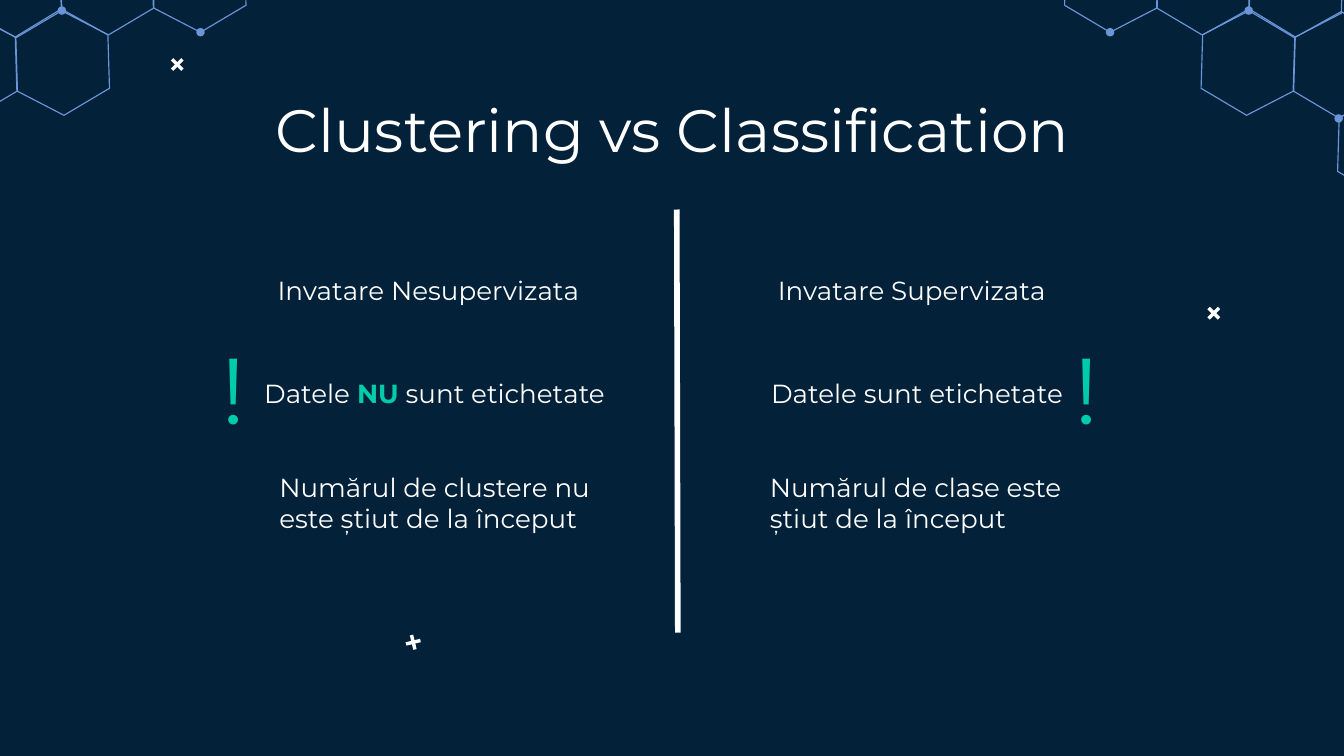
from math import cos, radians, sin

from lxml.etree import SubElement
from pptx import Presentation
from pptx.dml.color import RGBColor
from pptx.enum.shapes import MSO_CONNECTOR, MSO_SHAPE
from pptx.enum.text import MSO_ANCHOR, PP_ALIGN
from pptx.oxml.ns import qn
from pptx.util import Cm, Pt

NAVY, BLUE, WHITE, GREEN = "032138", "6995D9", "FFFFFF", "00CCAC"
LEFT, CENTER = PP_ALIGN.LEFT, PP_ALIGN.CENTER

TEXTS = [
    (2.01, 1.5, 21.41, 1.6, 32, CENTER, [("Clustering vs Classification", WHITE)]),
    (4.9, 4.93, 6.4, 1.19, 14, CENTER, [("Invatare Nesupervizata", WHITE)]),
    (14.45, 4.93, 6.4, 1.19, 14, LEFT, [("Invatare Supervizata", WHITE)]),
    (4.72, 6.88, 6.99, 1.19, 14, CENTER,
     [("Datele ", WHITE), ("NU", GREEN), (" sunt etichetate", WHITE)]),
    (14.3, 6.88, 6.07, 1.19, 14, CENTER, [("Datele sunt etichetate", WHITE)]),
    (3.33, 6.02, 2.16, 2.57, 50, CENTER, [("!", GREEN)]),
    (19.46, 6.02, 2.16, 2.57, 50, CENTER, [("!", GREEN)]),
    (5.03, 8.66, 6.4, 1.19, 14, LEFT,
     [("Numărul de clustere nu este știut de la început", WHITE)]),
    (14.3, 8.66, 6.68, 1.19, 14, LEFT,
     [("Numărul de clase este știut de la început", WHITE)]),
]
CROSSES = [(22.94, 5.92, 45), (7.81, 12.14, 76.5), (3.35, 1.22, 45)]
CROSS_ARM = 0.14

HEXAGON = [(0, 0), (0.03, -1.01), (0.91, -1.5), (1.78, -0.97), (1.75, 0.05), (0.86, 0.51)]
CELLS = [(0, 0), (-1, 0), (-2, 0), (0, 1), (-1, 1), (0, 2)]
DOTS = [(23.6, 0.2), (20.98, 0.61), (25.3, 2.24)]
ORIGIN, COLUMN_STEP, ROW_STEP = (23.6, 0.2), (1.74, 0.05), (0.84, 1.52)
DOT_SIZE, MIRROR_SUM = 0.16, 24.77


def rgb(color):
    return RGBColor.from_string(color)


def add_line(s, x1, y1, x2, y2, width):
    line = s.shapes.add_connector(MSO_CONNECTOR.STRAIGHT, Cm(x1), Cm(y1), Cm(x2), Cm(y2))
    line.line.color.rgb = rgb(WHITE)
    line.line.width = Pt(width)
    SubElement(line._element.spPr, qn("a:effectLst"))


def add_hexagon(s, points):
    first, *rest = [(Cm(x), Cm(y)) for x, y in points]
    builder = s.shapes.build_freeform(*first)
    builder.add_line_segments(rest)
    sp = builder.convert_to_shape()
    sp.shadow.inherit = False
    sp.fill.background()
    sp.line.color.rgb = rgb(BLUE)
    sp.line.width = Pt(0.61)


def add_dot(s, x, y):
    corner = Cm(x - DOT_SIZE / 2), Cm(y - DOT_SIZE / 2)
    sp = s.shapes.add_shape(MSO_SHAPE.OVAL, *corner, Cm(DOT_SIZE), Cm(DOT_SIZE))
    sp.shadow.inherit = False
    sp.fill.solid()
    sp.fill.fore_color.rgb = rgb(BLUE)
    sp.line.fill.background()


def add_honeycomb(s, mirrored):
    def place(x, y):
        return (MIRROR_SUM - x if mirrored else x), y

    for column, row in CELLS:
        x0, y0 = (o + column * c + row * r
                  for o, c, r in zip(ORIGIN, COLUMN_STEP, ROW_STEP))
        points = [place(x0 + dx, y0 + dy) for dx, dy in HEXAGON]
        if max(x for x, y in points) > 0:
            add_hexagon(s, points)
    for dot in DOTS:
        x, y = place(*dot)
        if x > 0:
            add_dot(s, x, y)


def add_text(s, x, y, w, h, size, align, runs):
    tf = s.shapes.add_textbox(Cm(x), Cm(y), Cm(w), Cm(h)).text_frame
    tf.word_wrap = True
    tf.vertical_anchor = MSO_ANCHOR.TOP
    tf.margin_left = tf.margin_right = tf.margin_top = tf.margin_bottom = Cm(0.25)
    p = tf.paragraphs[0]
    p.alignment = align
    p.font.name = "Montserrat"
    p.font.size = Pt(size)
    for text, color in runs:
        r = p.add_run()
        r.text = text
        r.font.color.rgb = rgb(color)
        r.font.bold = text == "NU"


def main():
    prs = Presentation()
    prs.slide_width, prs.slide_height = Cm(25.4), Cm(14.29)
    s = prs.slides.add_slide(prs.slide_layouts[6])
    s.background.fill.solid()
    s.background.fill.fore_color.rgb = rgb(NAVY)

    for mirrored in (False, True):
        add_honeycomb(s, mirrored)
    for x, y, angle in CROSSES:
        for turn in (angle, angle + 90):
            dx, dy = CROSS_ARM * cos(radians(turn)), CROSS_ARM * sin(radians(turn))
            add_line(s, x - dx, y - dy, x + dx, y + dy, 1.84)
    add_line(s, 12.79, 3.96, 12.81, 11.96, 3)
    for text in TEXTS:
        add_text(s, *text)
    prs.save("out.pptx")


if __name__ == "__main__":
    main()
